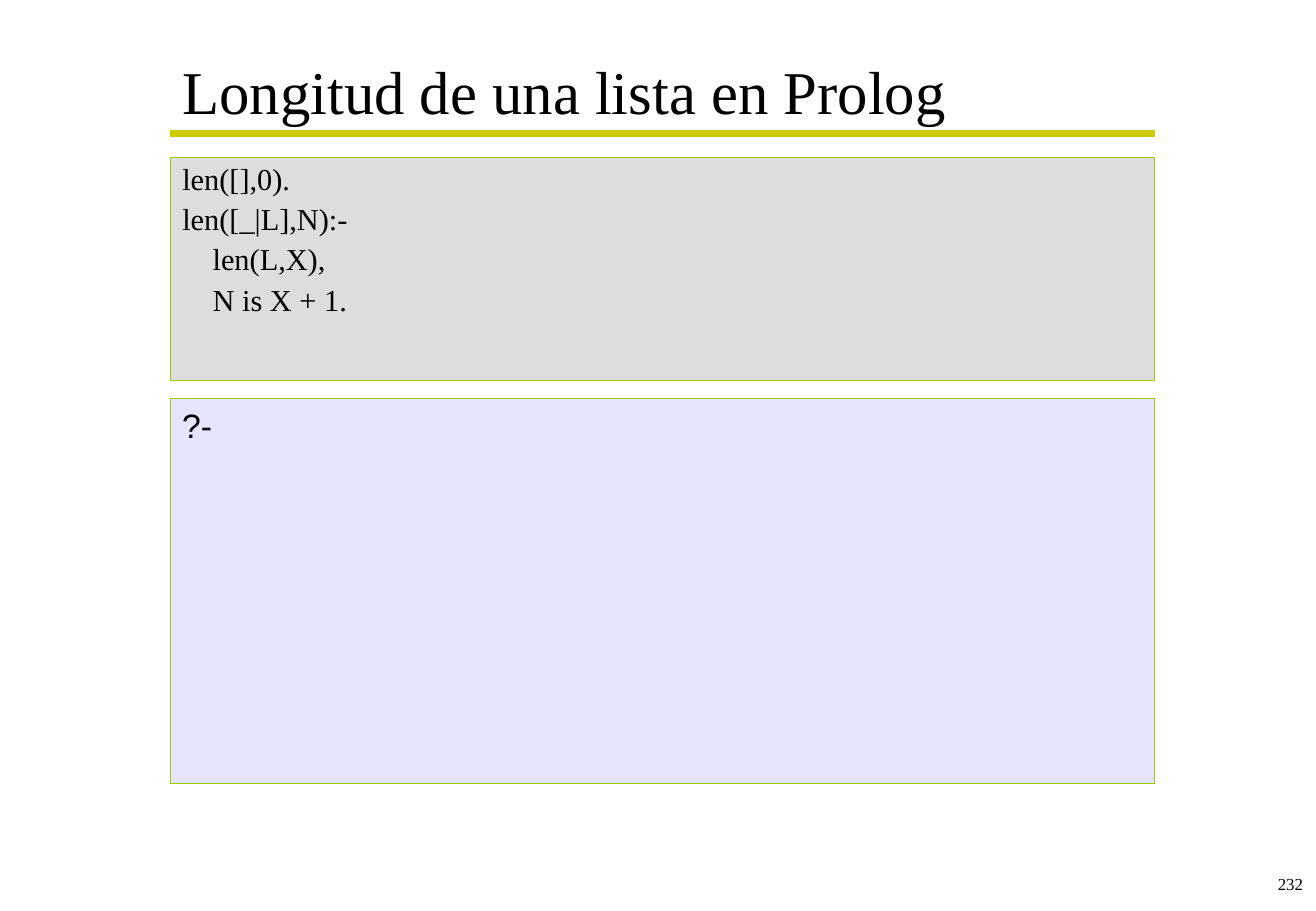
from lxml.etree import SubElement
from pptx import Presentation
from pptx.dml.color import RGBColor
from pptx.enum.shapes import MSO_CONNECTOR, MSO_SHAPE
from pptx.enum.text import MSO_ANCHOR, MSO_AUTO_SIZE, PP_ALIGN
from pptx.oxml.ns import qn
from pptx.util import Cm, Pt

HUES = {"ink": "000000", "rule": "CCCC00", "edge": "99CC00",
        "code": "DDDDDD", "query": "CCCCFF"}
LEFT, WIDTH = 3.56, 20.6
SERIF = "Times New Roman"
CODE = ["len([],0).", "len([_|L],N):-", "    len(L,X),", "    N is X + 1."]


def hue(name):
    return RGBColor.from_string(HUES[name])


def put(item, values):
    for name, value in values.items():
        setattr(item, name, value)


def place(shape, left, top, width, height):
    put(shape, {"left": Cm(left), "top": Cm(top),
                "width": Cm(width), "height": Cm(height)})


def write(shape, lines, size, face=SERIF, anchor=MSO_ANCHOR.TOP,
          align=PP_ALIGN.LEFT, gap=0, pitch=1.0):
    frame = shape.text_frame
    put(frame, {"text": "\n".join(lines), "word_wrap": True,
                "auto_size": MSO_AUTO_SIZE.NONE, "vertical_anchor": anchor})
    for i, para in enumerate(frame.paragraphs):
        put(para, {"alignment": align, "line_spacing": pitch,
                   "space_before": Pt(gap if i else 0)})
        # No bullet and no indent
        props = para._p.get_or_add_pPr()
        put_zero = {"marL": "0", "indent": "0"}
        for name, value in put_zero.items():
            props.set(name, value)
        SubElement(props, qn("a:buNone"))
        put(para.font, {"size": Pt(size), "name": face})
        para.font.color.rgb = hue("ink")


def panel(shape, fill, alpha=None):
    shape.fill.solid()
    shape.fill.fore_color.rgb = hue(fill)
    if alpha:
        tint = shape.fill._xPr.find(qn("a:solidFill"))[0]
        SubElement(tint, qn("a:alpha")).set("val", str(alpha * 1000))
    shape.line.color.rgb = hue("edge")
    shape.line.width = Pt(0.75)


def rule(slide, top):
    line = slide.shapes.add_connector(
        MSO_CONNECTOR.STRAIGHT, Cm(LEFT), Cm(top), Cm(LEFT + WIDTH), Cm(top))
    line.line.color.rgb = hue("rule")
    line.line.width = Pt(4.5)
    SubElement(line._element.spPr, qn("a:effectLst"))


def main():
    deck = Presentation()
    put(deck, {"slide_width": Cm(27.53), "slide_height": Cm(19.05)})
    slide = deck.slides.add_slide(deck.slide_layouts[1])

    # Title and its rule
    title = slide.shapes.title
    place(title, LEFT, 0.71, WIDTH, 2.36)
    write(title, ["Longitud de una lista en Prolog"], 36,
          anchor=MSO_ANCHOR.MIDDLE)
    rule(slide, 2.79)

    # Program
    code = slide.placeholders[1]
    place(code, LEFT, 3.3, WIDTH, 4.65)
    panel(code, "code")
    write(code, CODE, 18, gap=4.5, pitch=0.9)

    # Query
    query = slide.shapes.add_shape(
        MSO_SHAPE.RECTANGLE, Cm(LEFT), Cm(8.33), Cm(WIDTH), Cm(8.05))
    query.shadow.inherit = False
    panel(query, "query", alpha=50)
    write(query, ["?-"], 20, face="Arial")

    # Page number
    page = slide.shapes.add_textbox(Cm(22.94), Cm(18.14), Cm(4.57), Cm(0.91))
    write(page, ["232"], 10, align=PP_ALIGN.RIGHT)

    deck.save("out.pptx")


if __name__ == "__main__":
    main()
